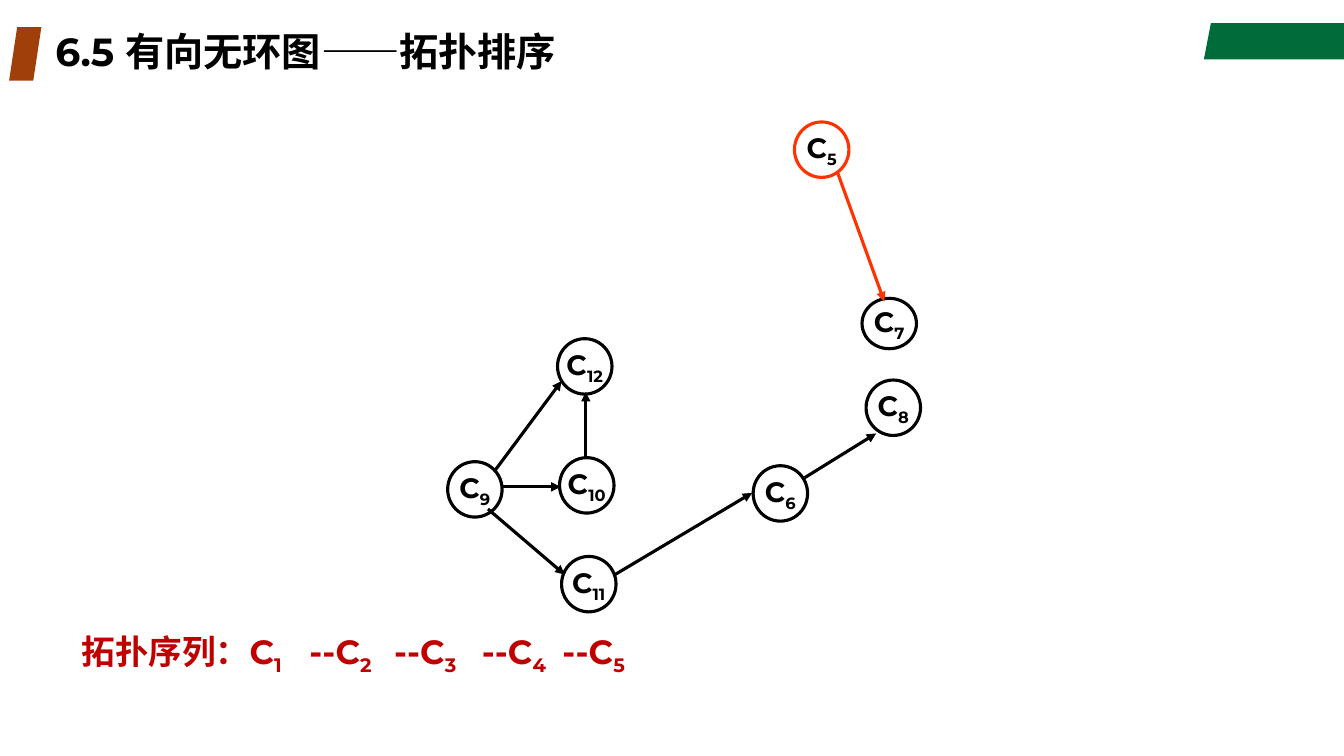
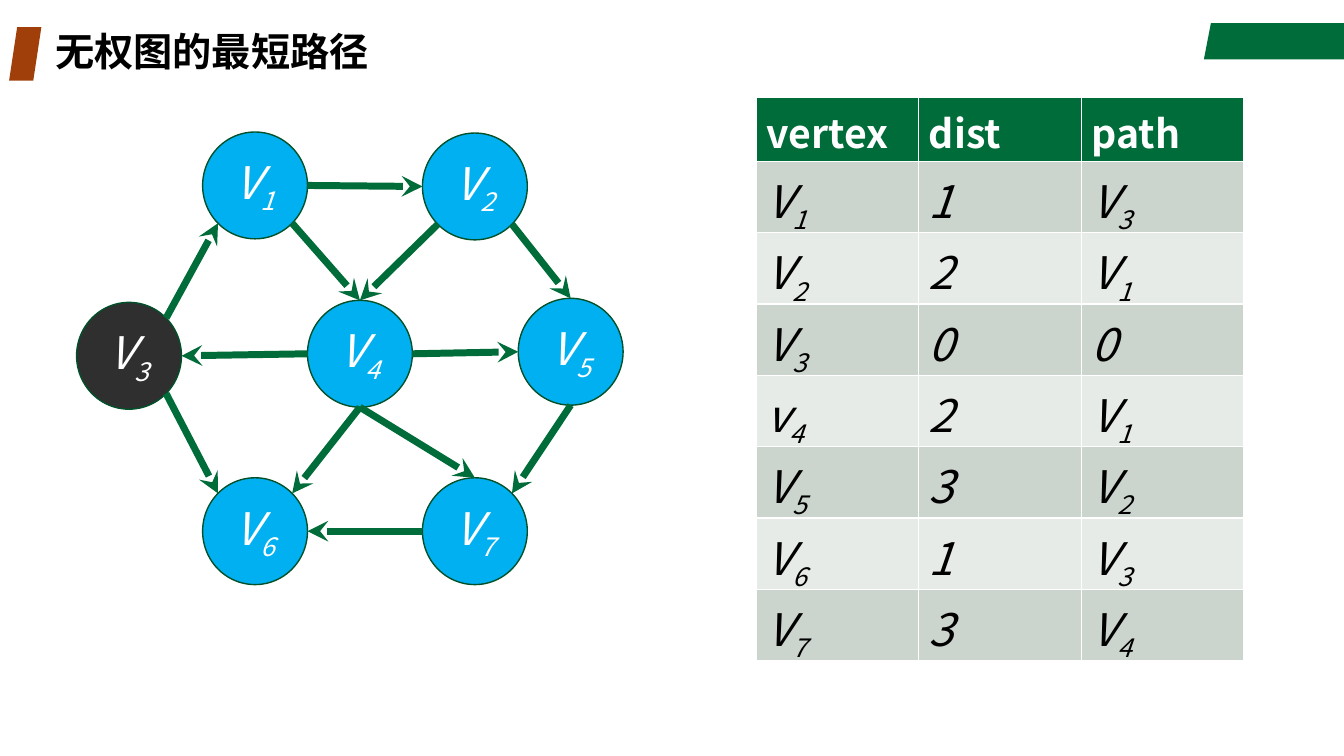
import math

import pptx
import pptx.dml.color
import pptx.enum.shapes
import pptx.enum.text
import pptx.oxml
import pptx.oxml.ns
import pptx.util

Inches = pptx.util.Inches
Pt = pptx.util.Pt
RGBColor = pptx.dml.color.RGBColor
SHAPES = pptx.enum.shapes.MSO_SHAPE
ALIGN = pptx.enum.text.PP_ALIGN
ANCHOR = pptx.enum.text.MSO_ANCHOR
qn = pptx.oxml.ns.qn

GREEN = RGBColor(0x00, 0x6C, 0x39)
DARK_GREEN = RGBColor(0x00, 0x50, 0x2A)
BROWN = RGBColor(0xA1, 0x3F, 0x0B)
BLACK = RGBColor(0x00, 0x00, 0x00)
WHITE = RGBColor(0xFF, 0xFF, 0xFF)
ORANGE = RGBColor(0xFF, 0x33, 0x00)
DARK_RED = RGBColor(0xC0, 0x00, 0x00)
BLUE = RGBColor(0x00, 0xB0, 0xF0)
CHARCOAL = RGBColor(0x2F, 0x2F, 0x2F)
ROW_TINTS = [RGBColor(0xCC, 0xD4, 0xCE), RGBColor(0xE7, 0xEB, 0xE8)]

LATIN = "Montserrat"
CJK = "Noto Sans CJK SC"


def write(paragraph, text, size, color, font, bold=False, italic=False):
    """Fill a paragraph; whatever follows an underscore is a subscript."""
    base, _, subscript = text.partition("_")
    paragraph.add_run().text = base
    if subscript:
        lowered = paragraph.add_run()
        lowered.text = subscript
        lowered.font._element.set("baseline", "-25000")
    paragraph.font.size = Pt(size)
    paragraph.font.name = font
    paragraph.font.bold = bold
    paragraph.font.italic = italic
    paragraph.font.color.rgb = color
    east_asian = pptx.oxml.parse_xml(
        f'<a:ea {pptx.oxml.ns.nsdecls("a")} typeface="{CJK}"/>')
    paragraph.font._element.find(qn("a:latin")).addnext(east_asian)


def add_arrow(slide, start, end, color, width, head):
    x1, y1, x2, y2 = (Inches(v) for v in (*start, *end))
    arrow = slide.shapes.add_connector(
        pptx.enum.shapes.MSO_CONNECTOR.STRAIGHT, x1, y1, x2, y2)
    arrow.line.color.rgb = color
    arrow.line.width = Pt(width)
    tail = pptx.oxml.parse_xml(
        f'<a:tailEnd {pptx.oxml.ns.nsdecls("a")} type="{head}"/>')
    arrow.line._get_or_add_ln().append(tail)
    arrow._element.spPr.append(pptx.oxml.parse_xml(
        f'<a:effectLst {pptx.oxml.ns.nsdecls("a")}/>'))


deck = pptx.Presentation()
deck.slide_width = Inches(13.33)
deck.slide_height = Inches(7.5)

# Shared frame: corner band, title marker, title
slides = []
for heading, heading_font in [("6.5 有向无环图——拓扑排序", LATIN),
                              ("无权图的最短路径", CJK)]:
    slide = deck.slides.add_slide(deck.slide_layouts[6])
    slides.append(slide)

    outline = slide.shapes.build_freeform(Inches(12.01), Inches(0.23))
    outline.add_line_segments([(Inches(x), Inches(y)) for x, y in
                               [(13.33, 0.23), (13.33, 0.59), (11.94, 0.59)]])
    corner_band = outline.convert_to_shape()
    title_marker = slide.shapes.add_shape(
        SHAPES.PARALLELOGRAM, Inches(0.09), Inches(0.27), Inches(0.32), Inches(0.53))
    for ornament, color in [(corner_band, GREEN), (title_marker, BROWN)]:
        ornament.shadow.inherit = False
        ornament.fill.solid()
        ornament.fill.fore_color.rgb = color
        ornament.line.fill.background()

    title = slide.shapes.add_textbox(
        Inches(0.45), Inches(0.27), Inches(9.45), Inches(0.53)).text_frame
    title.word_wrap = True
    title.vertical_anchor = ANCHOR.MIDDLE
    title.paragraphs[0].line_spacing = 0.9
    write(title.paragraphs[0], heading, 28, BLACK, heading_font, bold=True)

sorting, shortest_path = slides

# Slide 1: courses still in the graph
courses = [
    ("C_5", 7.88, 1.21, 0.55, ORANGE),
    ("C_6", 7.47, 4.62, 0.55, BLACK),
    ("C_7", 8.55, 2.96, 0.5, BLACK),
    ("C_8", 8.59, 3.77, 0.55, BLACK),
    ("C_9", 4.44, 4.58, 0.55, BLACK),
    ("C_10", 5.55, 4.54, 0.55, BLACK),
    ("C_11", 5.57, 5.52, 0.55, BLACK),
    ("C_12", 5.53, 3.36, 0.55, BLACK),
]
for name, left, top, height, color in courses:
    course = sorting.shapes.add_shape(
        SHAPES.OVAL, Inches(left), Inches(top), Inches(0.54), Inches(height))
    course.shadow.inherit = False
    course.fill.background()
    course.line.color.rgb = color
    course.line.width = Pt(2.25)
    course.text_frame.word_wrap = False
    course.text_frame.vertical_anchor = ANCHOR.MIDDLE
    course.text_frame.paragraphs[0].alignment = ALIGN.CENTER
    write(course.text_frame.paragraphs[0], name, 20, BLACK, LATIN, bold=True)

# Prerequisite arrows
prerequisites = [
    ((8.31, 1.72), (8.77, 2.99), ORANGE),
    ((4.9, 4.68), (5.57, 3.78), BLACK),
    ((4.98, 4.83), (5.56, 4.83), BLACK),
    ((5.81, 4.54), (5.81, 3.89), BLACK),
    ((4.84, 5.05), (5.6, 5.7), BLACK),
    ((6.1, 5.7), (7.46, 4.89), BLACK),
    ((7.98, 4.74), (8.69, 4.3), BLACK),
]
for start, end, color in prerequisites:
    add_arrow(sorting, start, end, color, 2.25, "triangle")

# Topological sequence so far
sequence = [
    ("拓扑序列：C_1", 0.71, 2.41),
    ("--C_2", 2.97, 1.23),
    ("--C_3", 3.81, 1.28),
    ("--C_4", 4.68, 1.08),
    ("--C_5", 5.48, 1.08),
]
for step, left, width in sequence:
    entry = sorting.shapes.add_textbox(
        Inches(left), Inches(6.16), Inches(width), Inches(0.52)).text_frame
    entry.word_wrap = True
    entry.paragraphs[0].line_spacing = 1.1
    write(entry.paragraphs[0], step, 24, DARK_RED, LATIN, bold=True)

# Slide 2: vertices, with V3 as the source
VERTEX_W, VERTEX_H = 1.04, 1.06
vertices = {3: (0.76, 3), 1: (2.01, 1.31), 2: (4.19, 1.32), 4: (3.05, 2.98),
            5: (5.14, 2.96), 6: (2.01, 4.74), 7: (4.19, 4.74)}
for number, (left, top) in vertices.items():
    vertex = shortest_path.shapes.add_shape(
        SHAPES.OVAL, Inches(left), Inches(top), Inches(VERTEX_W), Inches(VERTEX_H))
    vertex.shadow.inherit = False
    vertex.fill.solid()
    vertex.fill.fore_color.rgb = CHARCOAL if number == 3 else BLUE
    vertex.line.color.rgb = DARK_GREEN
    vertex.line.width = Pt(1)
    vertex.text_frame.vertical_anchor = ANCHOR.MIDDLE
    vertex.text_frame.paragraphs[0].alignment = ALIGN.CENTER
    write(vertex.text_frame.paragraphs[0], f"V_{number}", 32, WHITE, CJK, italic=True)

# Edges: (vertex, angle on its rim) pairs, degrees clockwise from the right
edges = [
    ((3, 315), (1, 135)), ((1, 0), (2, 180)), ((1, 45), (4, 270)),
    ((2, 135), (4, 270)), ((2, 45), (5, 270)), ((4, 180), (3, 0)),
    ((4, 90), (6, 315)), ((4, 90), (7, 270)), ((7, 180), (6, 0)),
    ((5, 90), (7, 315)), ((4, 0), (5, 180)), ((3, 45), (6, 225)),
]
for edge in edges:
    ends = []
    for number, degrees in edge:
        left, top = vertices[number]
        angle = math.radians(degrees)
        ends.append((left + VERTEX_W / 2 * (1 + math.cos(angle)),
                     top + VERTEX_H / 2 * (1 + math.sin(angle))))
    add_arrow(shortest_path, *ends, GREEN, 5, "stealth")

# Distance table
distances = [
    ("vertex", "dist", "path"),
    ("V_1", "1", "V_3"),
    ("V_2", "2", "V_1"),
    ("V_3", "0", "0"),
    ("v_4", "2", "V_1"),
    ("V_5", "3", "V_2"),
    ("V_6", "1", "V_3"),
    ("V_7", "3", "V_4"),
]
distance_table = shortest_path.shapes.add_table(
    len(distances), 3, Inches(7.5), Inches(0.97), Inches(4.84), Inches(5.05)).table
for r, row in enumerate(distances):
    for c, value in enumerate(row):
        cell = distance_table.cell(r, c)
        cell.fill.solid()
        paragraph = cell.text_frame.paragraphs[0]
        if r == 0:
            cell.fill.fore_color.rgb = GREEN
            write(paragraph, value, 28, WHITE, CJK, bold=True)
        else:
            cell.fill.fore_color.rgb = ROW_TINTS[(r - 1) % 2]
            write(paragraph, value, 32, BLACK, CJK, italic=True)

deck.save("out.pptx")
